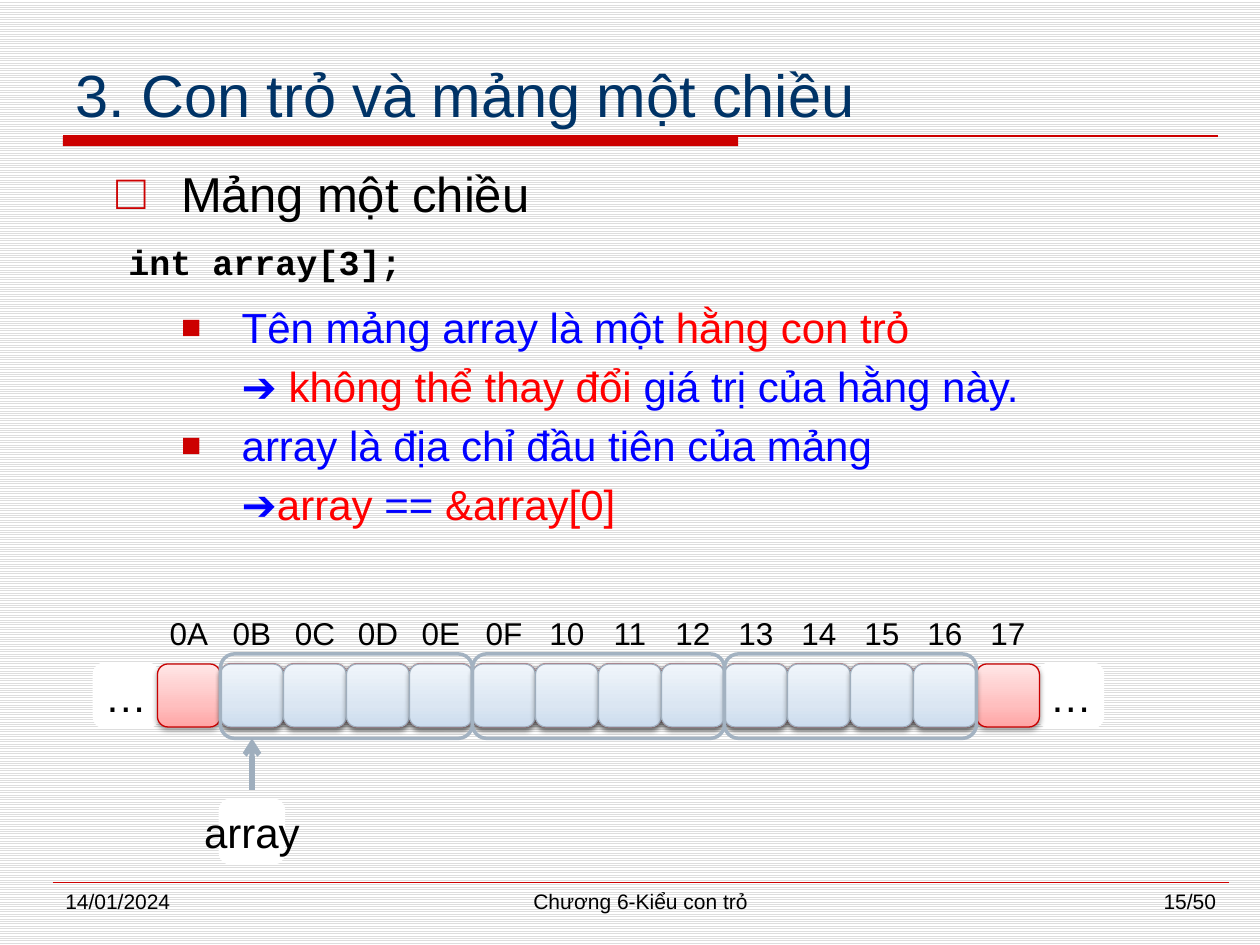
from dataclasses import dataclass

from lxml.etree import SubElement
from pptx import Presentation
from pptx.dml.color import RGBColor
from pptx.enum.dml import MSO_PATTERN
from pptx.enum.shapes import MSO_CONNECTOR, MSO_SHAPE
from pptx.enum.text import MSO_ANCHOR as Anchor, PP_ALIGN as Align
from pptx.oxml.ns import qn
from pptx.util import Inches, Pt


@dataclass(frozen=True)
class Theme:
    font: str = "Arial"
    code_font: str = "Courier New"
    title_color: str = "003366"
    accent: str = "CC0000"
    black: str = "000000"
    white: str = "FFFFFF"
    stripe: str = "DDDDDD"
    blue: str = "0000FF"
    red: str = "FF0000"
    group_line: str = "A3B2C1"
    blue_line: str = "9FAEBD"
    red_line: str = "C80000"
    red_stops: tuple = ((0, "FFA5A5"), (35, "FFBFBF"), (100, "FFE7E7"))
    blue_stops: tuple = ((0, "CCDCEE"), (35, "DBE6F2"), (100, "F0F5FB"))
    title_size: int = 34
    heading_size: int = 28
    body_size: int = 24
    code_size: int = 20
    address_size: int = 18
    footer_size: int = 12


THEME = Theme()
CELL = 0.5


def rgb(color):
    return RGBColor.from_string(color)


def style_font(font, size, color=None, name=THEME.font):
    font.name = name
    font.size = Pt(size)
    if color:
        font.color.rgb = rgb(color)


def add_text(slide, box, text, size, color=THEME.black, align=Align.LEFT,
             anchor=Anchor.TOP, name=THEME.font):
    shape = slide.shapes.add_textbox(*map(Inches, box))
    frame = shape.text_frame
    frame.word_wrap = True
    frame.vertical_anchor = anchor
    paragraph = frame.paragraphs[0]
    paragraph.text = text
    paragraph.alignment = align
    style_font(paragraph.font, size, color, name)
    return paragraph


def add_line(slide, start, end, color, width):
    line = slide.shapes.add_connector(
        MSO_CONNECTOR.STRAIGHT, *map(Inches, (*start, *end)))
    line.line.color.rgb = rgb(color)
    line.line.width = Pt(width)
    SubElement(line._element.spPr, qn("a:effectLst"))
    return line


def add_rounded(slide, box, fill=None, line=None, width=2, text="", size=THEME.body_size):
    shape = slide.shapes.add_shape(MSO_SHAPE.ROUNDED_RECTANGLE, *map(Inches, box))
    shape.shadow.inherit = False
    for part, color in ((shape.fill, fill), (shape.line.fill, line)):
        if color:
            part.solid()
            part.fore_color.rgb = rgb(color)
        else:
            part.background()
    if line:
        shape.line.width = Pt(width)
    if text:
        frame = shape.text_frame
        frame.word_wrap = False
        frame.vertical_anchor = Anchor.MIDDLE
        paragraph = frame.paragraphs[0]
        paragraph.text = text
        paragraph.alignment = Align.CENTER
        style_font(paragraph.font, size, THEME.black)
    return shape


def add_memory_cell(slide, box, stops, line):
    shape = add_rounded(slide, box, line=line, width=0.75)
    shape.fill.gradient()
    shape.fill.gradient_angle = 90
    properties = shape._element.spPr
    stop_list = properties.find(qn("a:gradFill")).find(qn("a:gsLst"))
    for stop in list(stop_list):
        stop_list.remove(stop)
    for position, color in stops:
        stop = SubElement(stop_list, qn("a:gs"), pos=str(position * 1000))
        SubElement(stop, qn("a:srgbClr"), val=color)
    shadow = SubElement(properties.find(qn("a:effectLst")), qn("a:outerShdw"),
                        blurRad=str(Pt(3.1)), dist=str(Pt(1.6)), dir="5400000", rotWithShape="0")
    shade = SubElement(shadow, qn("a:srgbClr"), val=THEME.black)
    SubElement(shade, qn("a:alpha"), val="38000")


def add_title(slide, box):
    left, top, width, height = box
    add_text(slide, box, "3. Con trỏ và mảng một chiều", THEME.title_size,
             THEME.title_color, anchor=Anchor.BOTTOM)
    rule_top = top + height
    bar = slide.shapes.add_shape(
        MSO_SHAPE.RECTANGLE, *map(Inches, (left, rule_top, 5.36, 0.08)))
    bar.shadow.inherit = False
    bar.fill.solid()
    bar.fill.fore_color.rgb = rgb(THEME.accent)
    bar.line.fill.background()
    add_line(slide, (left, rule_top), (left + width, rule_top), THEME.accent, 1.5)


def indent_paragraph(paragraph, margin, hanging=0, bullet=None, bullet_size=100):
    properties = paragraph._p.get_or_add_pPr()
    properties.set("marL", str(Inches(margin)))
    properties.set("indent", str(-Inches(hanging)))
    if bullet:
        color = SubElement(properties, qn("a:buClr"))
        SubElement(color, qn("a:srgbClr"), val=THEME.accent)
        SubElement(properties, qn("a:buSzPct"), val=str(bullet_size * 1000))
        SubElement(properties, qn("a:buFont"), typeface=THEME.font)
        SubElement(properties, qn("a:buChar"), char=bullet)
    else:
        SubElement(properties, qn("a:buNone"))


def add_body(slide, box):
    left, top, width, _ = box
    heading = add_text(slide, box, "Mảng một chiều", THEME.heading_size, align=Align.JUSTIFY)
    indent_paragraph(heading, 0.51, 0.51, "□")
    frame = heading._parent
    blue, red = THEME.blue, THEME.red
    points = (
        (True, 45, (("Tên mảng array là một ", blue), ("hằng con trỏ", red))),
        (False, 5, (("➔ ", blue), ("không thể thay đổi", red), (" giá trị của hằng này.", blue))),
        (True, 5, (("array là địa chỉ đầu tiên của mảng", blue),)),
        (False, 5, (("➔", blue), ("array", red), (" == ", blue), ("&array[0]", red))),
    )
    for bulleted, space, runs in points:
        paragraph = frame.add_paragraph()
        paragraph.level = 1
        paragraph.alignment = Align.JUSTIFY
        paragraph.space_before = Pt(space)
        if bulleted:
            indent_paragraph(paragraph, 0.99, 0.48, "■", 80)
        else:
            indent_paragraph(paragraph, 0.99)
        style_font(paragraph.font, THEME.body_size)
        for text, color in runs:
            run = paragraph.add_run()
            run.text = text
            run.font.color.rgb = rgb(color)
    code = add_text(slide, (left + 0.09, top + 0.61, width + 0.41, 0.44), "int array[3];",
                    THEME.code_size, name=THEME.code_font)
    code.font.bold = True


def add_memory_diagram(slide, box):
    left, top, _, _ = box
    row_top = top + CELL
    cell_lefts = [left + CELL * index for index in range(16)]
    memory_lefts = cell_lefts[1:-1]
    array_lefts = memory_lefts[1:-1]
    for end_left in (cell_lefts[-1], cell_lefts[0]):
        add_rounded(slide, (end_left, row_top, CELL, CELL), THEME.white, THEME.white, text="…")
    for cell_left in memory_lefts:
        add_memory_cell(slide, (cell_left, row_top, CELL, CELL), THEME.red_stops, THEME.red_line)
    add_rounded(slide, (array_lefts[0], top + 1.58, CELL, CELL), THEME.white, THEME.white,
                text="array")
    for address, cell_left in enumerate(memory_lefts, start=0x0A):
        add_rounded(slide, (cell_left, top, CELL, CELL), text=f"{address:02X}",
                    size=THEME.address_size)
    for cell_left in array_lefts:
        add_memory_cell(slide, (cell_left, row_top, CELL, CELL), THEME.blue_stops, THEME.blue_line)
    for group_left in array_lefts[::4]:
        add_rounded(slide, (group_left, row_top - 0.08, 4 * CELL, 0.67), line=THEME.group_line)
    arrow_x = array_lefts[0] + CELL / 2
    arrow = add_line(slide, (arrow_x, top + 1.5), (arrow_x, top + 1.09), THEME.blue_line, 3)
    SubElement(arrow.line._get_or_add_ln(), qn("a:tailEnd"), type="arrow")


def add_footer(slide, box):
    left, top, width, height = box
    right = left + width
    add_line(slide, (left, top), (right, top), THEME.accent, 0.25)
    for text, part_left, part_width, align in (
        ("14/01/2024", left, 2.17, Align.LEFT),
        ("Chương 6-Kiểu con trỏ", left + 2.5, 4.33, Align.CENTER),
        ("15/50", right - 2.17, 2.17, Align.RIGHT),
    ):
        add_text(slide, (part_left, top, part_width, height), text, THEME.footer_size, align=align)


def main():
    presentation = Presentation()
    presentation.slide_width = Inches(10)
    presentation.slide_height = Inches(7.5)
    slide = presentation.slides.add_slide(presentation.slide_layouts[6])
    background = slide.background.fill
    background.patterned()
    background.pattern = MSO_PATTERN.LIGHT_HORIZONTAL
    background.fore_color.rgb = rgb(THEME.stripe)
    background.back_color.rgb = rgb(THEME.white)
    add_title(slide, (0.5, 0.33, 9.17, 0.75))
    add_body(slide, (0.83, 1.25, 8.67, 5.67))
    add_memory_diagram(slide, (0.75, 4.77, 8, 2.08))
    add_footer(slide, (0.42, 7, 9.33, 0.35))
    presentation.save("out.pptx")


if __name__ == "__main__":
    main()
